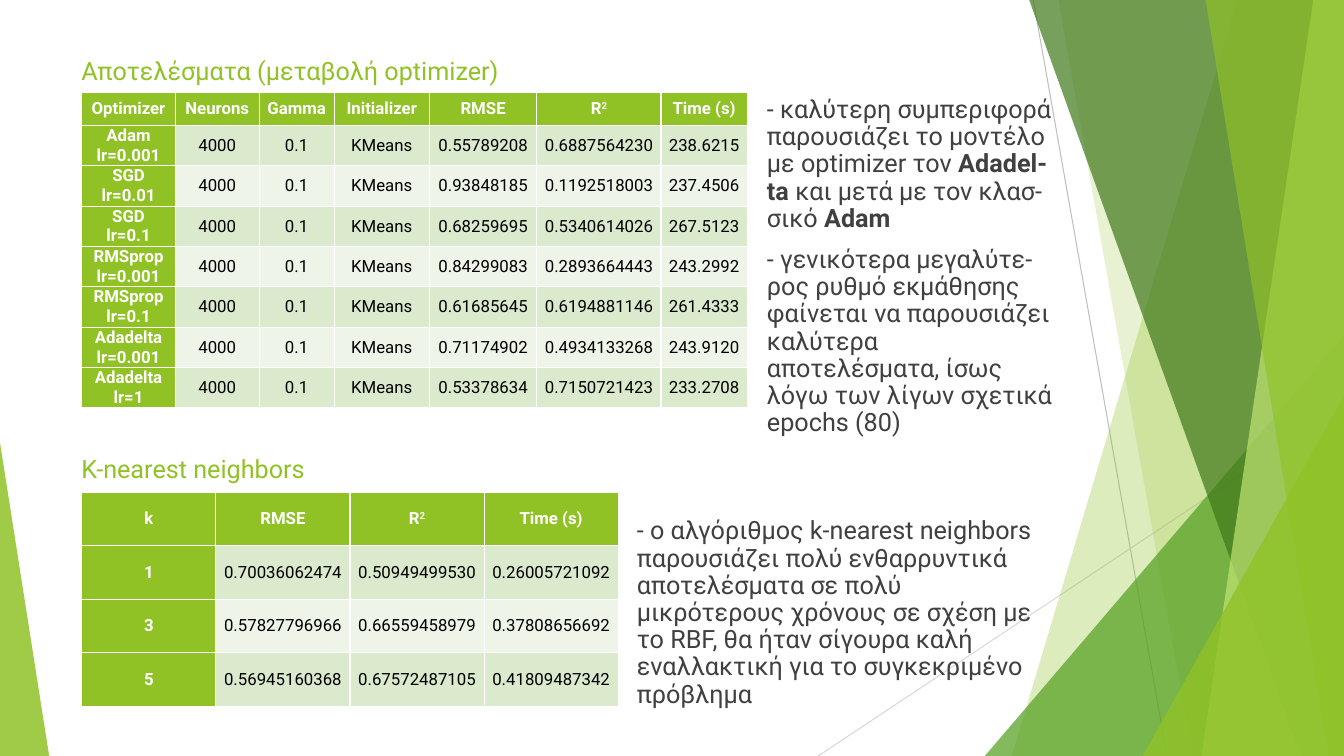
import lxml.etree
import pptx
import pptx.dml.color
import pptx.enum.shapes
import pptx.enum.text
import pptx.oxml.ns
import pptx.util

Cm = pptx.util.Cm
Pt = pptx.util.Pt
RGBColor = pptx.dml.color.RGBColor
qn = pptx.oxml.ns.qn

FONT = "Roboto"
WHITE = RGBColor(0xFF, 0xFF, 0xFF)
BLACK = RGBColor(0x00, 0x00, 0x00)
LIME = RGBColor(0x90, 0xC2, 0x26)
GREEN = RGBColor(0x54, 0xA0, 0x21)
FOREST = RGBColor(0x3F, 0x78, 0x19)
PALE_LIME = RGBColor(0xC0, 0xE4, 0x74)
BAND_DARK = RGBColor(0xDB, 0xE9, 0xCD)
BAND_LIGHT = RGBColor(0xEE, 0xF4, 0xE8)
GREY = RGBColor(0x40, 0x40, 0x40)
LINE_DARK = RGBColor(0xBF, 0xBF, 0xBF)
LINE_LIGHT = RGBColor(0xD9, 0xD9, 0xD9)
WIDTH, HEIGHT = 33.87, 19.05


def add_results(s, left, top, widths, heights, rows, space_before):
    frame = s.shapes.add_table(len(rows), len(widths), Cm(left), Cm(top),
                               Cm(sum(widths)), Cm(sum(heights)))
    table = frame.table
    for column, width in zip(table.columns, widths):
        column.width = Cm(width)
    for i, row in enumerate(rows):
        table.rows[i].height = Cm(heights[i])
        for j, text in enumerate(row):
            heading = i == 0 or j == 0
            cell = table.cell(i, j)
            cell.fill.solid()
            cell.fill.fore_color.rgb = LIME if heading else (BAND_LIGHT, BAND_DARK)[i % 2]
            cell.vertical_anchor = pptx.enum.text.MSO_ANCHOR.MIDDLE
            cell.margin_left = cell.margin_right = Cm(0.18)
            cell.margin_top = cell.margin_bottom = 0
            tf = cell.text_frame
            tf.text = text
            if text == "R²":
                tf.text = "R"
                r = tf.paragraphs[0].add_run()
                r.text = "2"
                r._r.get_or_add_rPr().set("baseline", "30000")
            for p in tf.paragraphs:
                p.alignment = pptx.enum.text.PP_ALIGN.CENTER
                p.space_before = Pt(space_before)
                for r in p.runs:
                    r.font.name = FONT
                    r.font.size = Pt(12)
                    r.font.bold = heading
                    r.font.color.rgb = WHITE if heading else BLACK


def add_text(s, left, top, width, height, paragraphs, color, spacing):
    sp = s.shapes.add_textbox(Cm(left), Cm(top), Cm(width), Cm(height))
    tf = sp.text_frame
    tf.word_wrap = True
    for i, parts in enumerate(paragraphs):
        p = tf.paragraphs[0] if i == 0 else tf.add_paragraph()
        p.line_spacing = spacing
        p.space_before = Pt(10)
        for k, text in enumerate(parts):
            r = p.add_run()
            r.text = text
            r.font.name = FONT
            r.font.size = Pt(18)
            r.font.bold = k % 2 == 1
            r.font.color.rgb = color


prs = pptx.Presentation()
prs.slide_width = Cm(WIDTH)
prs.slide_height = Cm(HEIGHT)
s = prs.slides.add_slide(prs.slide_layouts[6])

for x1, y1, x2, y2, color in [
    (26.04, 0, 29.41, HEIGHT, LINE_DARK),
    (WIDTH, 10.24, 20.62, HEIGHT, LINE_LIGHT),
]:
    line = s.shapes.add_connector(pptx.enum.shapes.MSO_CONNECTOR.STRAIGHT,
                                  Cm(x1), Cm(y1), Cm(x2), Cm(y2))
    line.line.color.rgb = color
    line.line.width = Pt(0.75)
    lxml.etree.SubElement(line._element.spPr, qn("a:effectLst"))

# wedge: top x, bottom x; triangle: left, width, height, apex
facets = [
    ("wedge", (31.19, 25.5), LIME, 30),
    ("wedge", (26.67, 30.05), LIME, 20),
    ("triangle", (24.82, 9.05, 10.59, 1), GREEN, 72),
    ("wedge", (25.93, 32.79), FOREST, 70),
    ("wedge", (33.1, 30.28), PALE_LIME, 70),
    ("wedge", (30.38, 33.48), LIME, 65),
    ("triangle", (28.8, 5.07, 9.07, 1), LIME, 80),
    ("triangle", (0, 1.24, 7.9, 0), LIME, 85),
]
for kind, geometry, color, opacity in facets:
    if kind == "wedge":
        top_x, bottom_x = geometry
        outline = s.shapes.build_freeform(Cm(top_x), Cm(-0.02))
        outline.add_line_segments([(Cm(WIDTH), Cm(-0.02)), (Cm(WIDTH), Cm(HEIGHT)),
                                   (Cm(bottom_x), Cm(HEIGHT))], close=True)
        sp = outline.convert_to_shape()
    else:
        left, width, height, apex = geometry
        sp = s.shapes.add_shape(pptx.enum.shapes.MSO_SHAPE.ISOSCELES_TRIANGLE,
                                Cm(left), Cm(HEIGHT - height), Cm(width), Cm(height))
        sp.adjustments[0] = apex
    sp.shadow.inherit = False
    sp.line.fill.background()
    sp.fill.solid()
    sp.fill.fore_color.rgb = color
    tint = sp._element.spPr.find(qn("a:solidFill"))[0]
    lxml.etree.SubElement(tint, qn("a:alpha")).set("val", str(opacity * 1000))

add_text(s, 1.8, 1.27, 23.88, 1, [["Αποτελέσματα (μεταβολή optimizer)"]], LIME, 1.0)
add_text(s, 1.8, 11.3, 13.5, 1, [["K-nearest neighbors"]], LIME, 1.0)

runs = [
    ("Adam lr=0.001", "0.55789208", "0.6887564230", "238.6215"),
    ("SGD lr=0.01", "0.93848185", "0.1192518003", "237.4506"),
    ("SGD\nlr=0.1", "0.68259695", "0.5340614026", "267.5123"),
    ("RMSprop lr=0.001", "0.84299083", "0.2893664443", "243.2992"),
    ("RMSprop lr=0.1", "0.61685645", "0.6194881146", "261.4333"),
    ("Adadelta lr=0.001", "0.71174902", "0.4934133268", "243.9120"),
    ("Adadelta lr=1", "0.53378634", "0.7150721423", "233.2708"),
]
optimizer_rows = [("Optimizer", "Neurons", "Gamma", "Initializer", "RMSE", "R²", "Time (s)")]
for name, *scores in runs:
    optimizer_rows.append((name, "4000", "0.1", "KMeans", *scores))
add_results(s, 2.06, 2.34, [2.36, 2.11, 1.89, 2.4, 2.71, 3.13, 2.17],
            [0.82] + [0.99] * len(runs), optimizer_rows, 0)

add_text(s, 19.08, 2.31, 7.75, 8.23, [
    ["- καλύτερη συμπεριφορά παρουσιάζει το μοντέλο με optimizer τον ", "Adadel-ta ",
     "και μετά με τον κλασ-σικό ", "Adam"],
    ["- γενικότερα μεγαλύτε-ρος ρυθμό εκμάθησης φαίνεται να παρουσιάζει καλύτερα "
     "αποτελέσματα, ίσως λόγω των λίγων σχετικά epochs (80)"],
], GREY, 0.9)

neighbor_rows = [
    ("k", "RMSE", "R²", "Time (s)"),
    ("1", "0.70036062474", "0.50949499530", "0.26005721092"),
    ("3", "0.57827796966", "0.66559458979", "0.37808656692"),
    ("5", "0.56945160368", "0.67572487105", "0.41809487342"),
]
add_results(s, 2.06, 12.4, [3.38] * 4, [1.35] * 4, neighbor_rows, 6)

add_text(s, 15.8, 12.93, 11, 5.89, [
    ["- ο αλγόριθμος k-nearest neighbors παρουσιάζει πολύ ενθαρρυντικά αποτελέσματα σε "
     "πολύ μικρότερους χρόνους σε σχέση με το RBF, θα ήταν σίγουρα καλή εναλλακτική "
     "για το συγκεκριμένο πρόβλημα"],
], GREY, 0.9)

prs.save("out.pptx")
